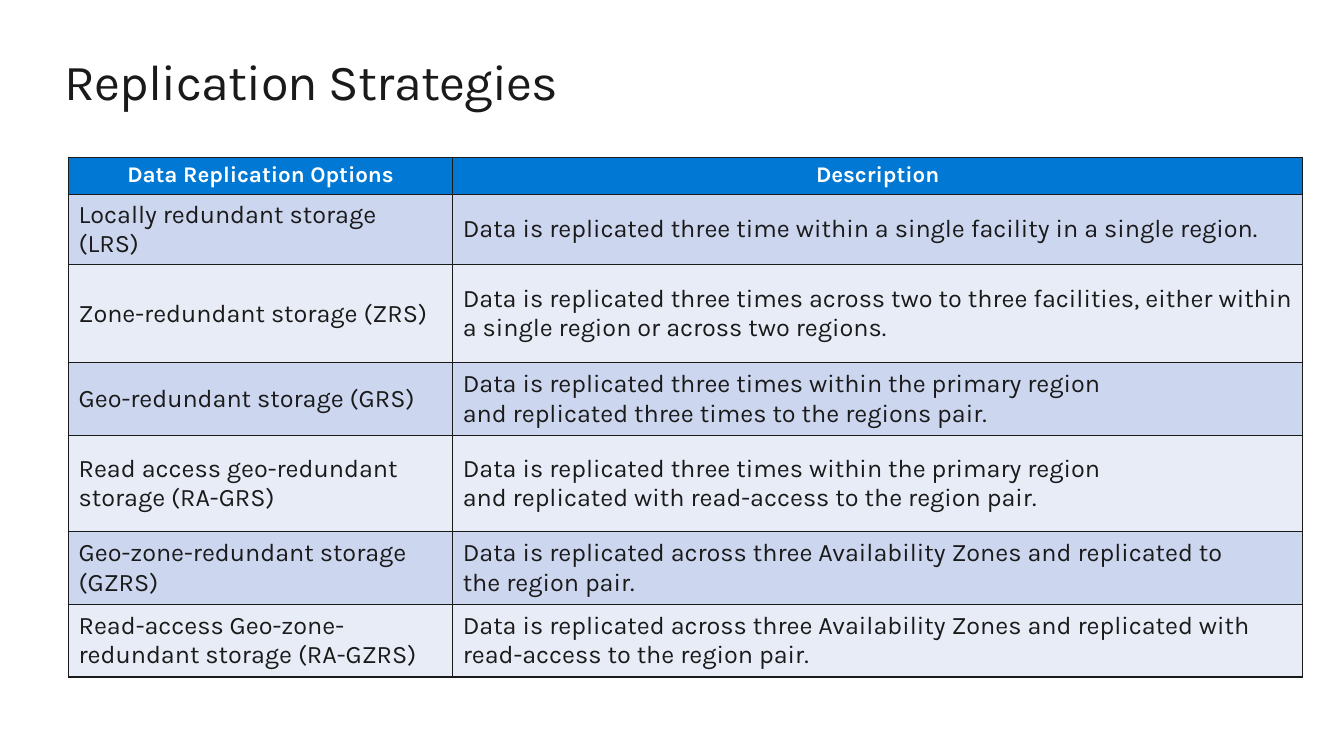
from typing import NamedTuple

from lxml.etree import SubElement
from pptx import Presentation
from pptx.dml.color import RGBColor
from pptx.enum.text import MSO_ANCHOR, PP_ALIGN
from pptx.oxml.ns import qn
from pptx.util import Inches, Pt

WIDE, HIGH = Inches(13.33), Inches(7.5)
FONT = "Karla"
INK = RGBColor(0x1A, 0x1A, 0x1A)
WHITE = RGBColor(0xFF, 0xFF, 0xFF)
BLUE = RGBColor(0x00, 0x78, 0xD4)
BANDS = (RGBColor(0xE7, 0xEC, 0xF7), RGBColor(0xCC, 0xD6, 0xEF))
COLS = (3.81, 8.43)


class Option(NamedTuple):
    """One replication option and the height of its row in inches."""
    name: str
    about: str
    height: float


class Look(NamedTuple):
    """Size, colour and weight of a run."""
    size: int
    color: RGBColor
    bold: bool = False


TITLE = Look(36, INK)
HEAD = Look(16, WHITE, True)
BODY = Look(18, INK)

ROWS = (
    Option("Data Replication Options", "Description", 0.32),
    Option("Locally redundant storage (LRS)",
           "Data is replicated three time within a single facility in a single region.", 0.58),
    Option("Zone-redundant storage (ZRS)",
           "Data is replicated three times across two to three facilities, either "
           "within a\u00a0single region or across two regions.", 0.97),
    Option("Geo-redundant storage (GRS)",
           "Data is replicated three times within the primary\u00a0region "
           "and\u00a0replicated\u00a0three times to the regions pair.", 0.72),
    Option("Read access geo-redundant storage\u00a0(RA-GRS)",
           "Data is replicated three times within the primary\u00a0region "
           "and\u00a0replicated\u00a0with read-access to the region pair.", 0.96),
    Option("Geo-zone-redundant storage (GZRS)",
           "Data is replicated across three Availability\u00a0Zones "
           "and\u00a0replicated to the\u00a0region pair.", 0.72),
    Option("Read-access Geo-zone-redundant\u00a0storage (RA-GZRS)",
           "Data is replicated across three Availability\u00a0Zones "
           "and\u00a0replicated with read-access to the region pair.", 0.72),
)


def add_run(para, text: str, look: Look):
    """Add a styled run to a paragraph and return it."""
    run = para.add_run()
    run.text = text
    font = run.font
    font.name, font.size, font.bold = FONT, Pt(look.size), look.bold
    font.color.rgb = look.color
    return run


def add_title(slide, text: str) -> None:
    """Place the slide title with slightly tight letters."""
    box = slide.shapes.add_textbox(
        round(WIDE * 0.048), round(HIGH * 0.0667), round(WIDE * 0.904), round(HIGH * 0.0813))
    frame = box.text_frame
    frame.word_wrap = True
    frame.margin_left = frame.margin_right = frame.margin_top = frame.margin_bottom = 0
    run = add_run(frame.paragraphs[0], text, TITLE)
    run.font._element.set("spc", "-50")


def add_edges(cell) -> None:
    """Draw a thin dark line on all four sides of a cell."""
    props = cell._tc.get_or_add_tcPr()
    for spot, side in enumerate(("a:lnL", "a:lnR", "a:lnT", "a:lnB")):
        line = SubElement(props, qn(side), w=str(Pt(1)))
        fill = SubElement(line, qn("a:solidFill"))
        SubElement(fill, qn("a:srgbClr"), val=str(INK))
        props.insert(spot, line)


def fill_cell(cell, text: str, row: int) -> None:
    """Write and style a cell as header or banded body."""
    head = row == 0
    cell.fill.solid()
    cell.fill.fore_color.rgb = BLUE if head else BANDS[row % 2]
    cell.vertical_anchor = MSO_ANCHOR.TOP if head else MSO_ANCHOR.MIDDLE
    para = cell.text_frame.paragraphs[0]
    para.alignment = PP_ALIGN.CENTER if head else PP_ALIGN.LEFT
    add_run(para, text, HEAD if head else BODY)
    add_edges(cell)


def add_grid(slide, rows: tuple[Option, ...]) -> None:
    """Build the table of replication options."""
    table = slide.shapes.add_table(
        len(rows), len(COLS), round(WIDE * 0.051), round(HIGH * 0.208),
        Inches(sum(COLS)), Inches(sum(row.height for row in rows))).table
    for col, width in zip(table.columns, COLS):
        col.width = Inches(width)
    for index, row in enumerate(rows):
        table.rows[index].height = Inches(row.height)
        for col, text in enumerate((row.name, row.about)):
            fill_cell(table.cell(index, col), text, index)


def main() -> None:
    """Build and save the slide."""
    deck = Presentation()
    deck.slide_width, deck.slide_height = WIDE, HIGH
    slide = deck.slides.add_slide(deck.slide_layouts[6])
    add_title(slide, "Replication Strategies")
    add_grid(slide, ROWS)
    deck.save("out.pptx")


main()
